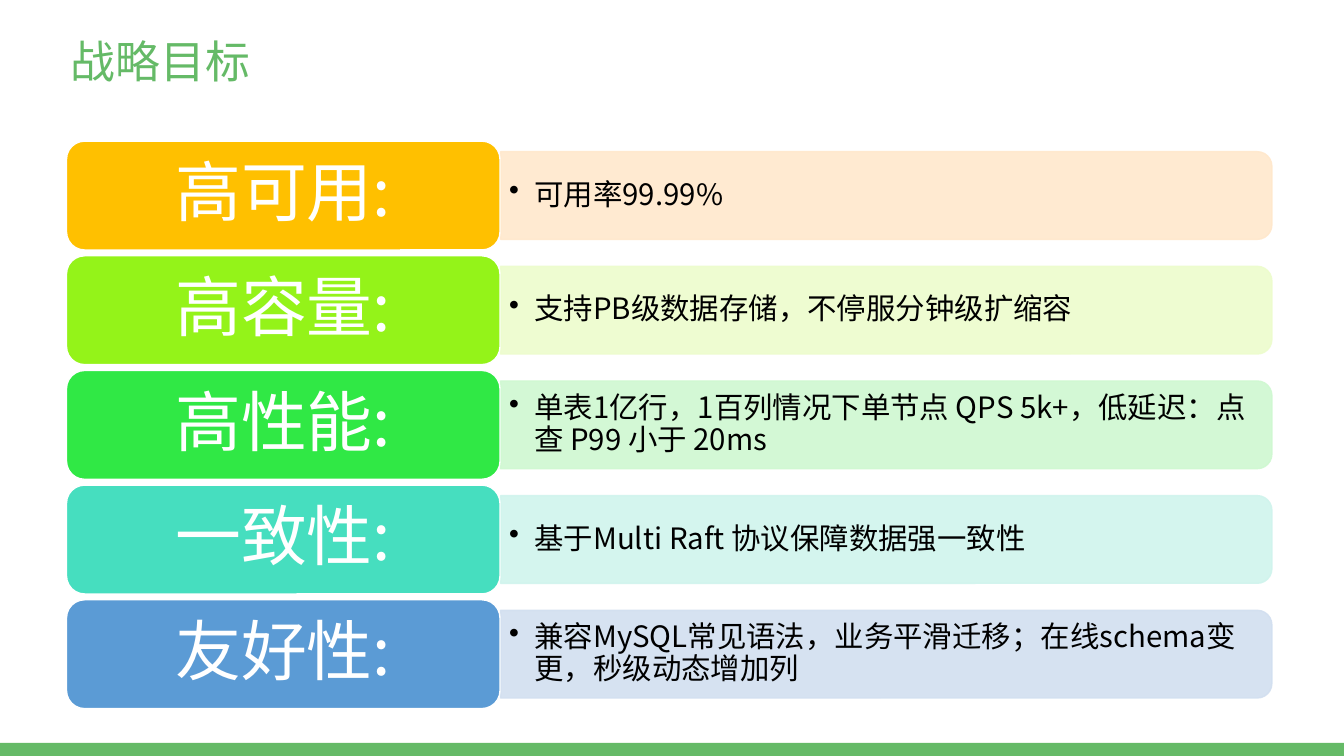
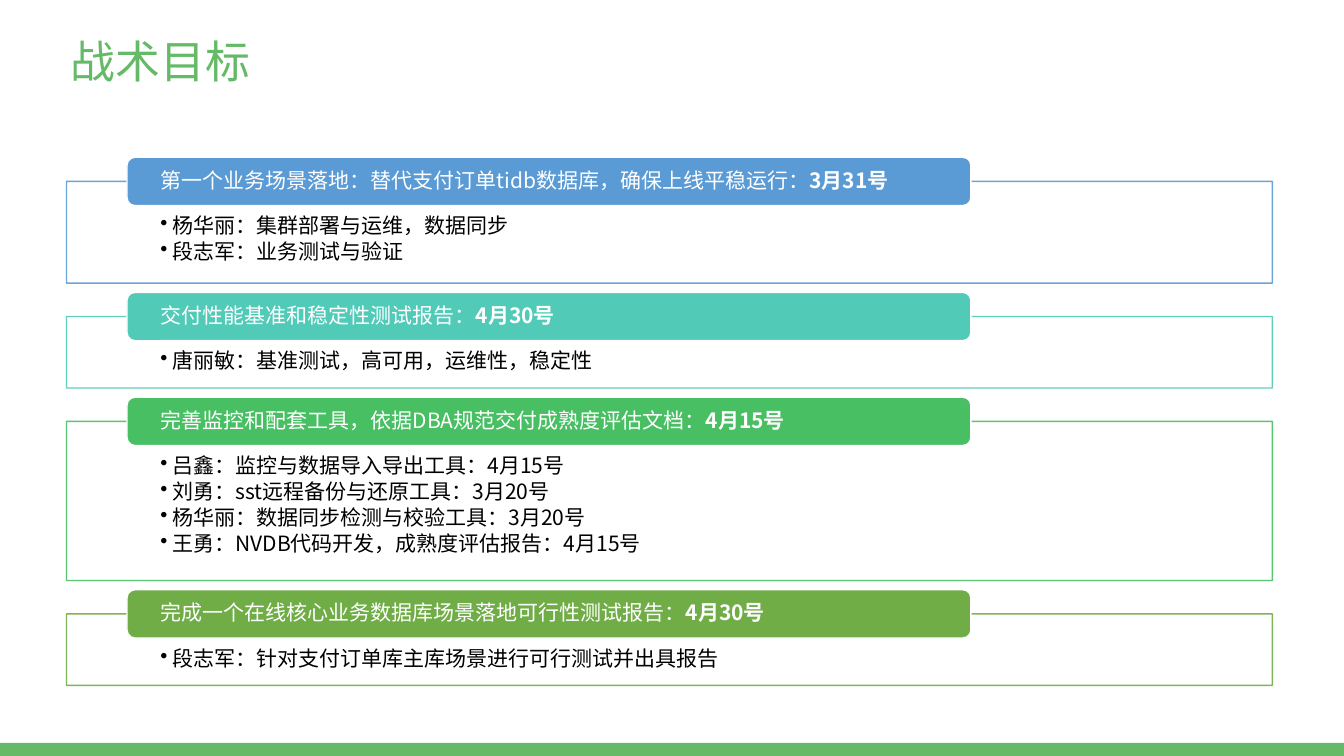
from dataclasses import dataclass

from lxml import etree
from pptx import Presentation
from pptx import util as u
from pptx.dml.color import RGBColor
from pptx.enum import shapes, text
from pptx.oxml.ns import qn

PX = 9144  # EMU in one px, 100 px to the inch
WIDTH, HEIGHT = 1333, 750
FONT = "Noto Sans CJK SC"
LINE_SPACING = 0.9
COLORS = {
    "brand": "65BA67",
    "white": "FFFFFF",
    "black": "000000",
    "amber": "FFC000",
    "amber_tint": "FFE8CC",
    "lime": "94F319",
    "lime_tint": "EDFCCD",
    "green": "30E845",
    "green_tint": "CFF8D1",
    "aqua": "46DEBF",
    "aqua_tint": "D0F4ED",
    "blue": "5B9BD5",
    "blue_tint": "D2DFF0",
    "teal": "52CAB8",
    "emerald": "49BF64",
    "olive": "70AD47",
}


@dataclass(frozen=True)
class Goal:
    label: str
    detail: str
    color: str


@dataclass(frozen=True)
class Milestone:
    title: str
    due: str
    color: str
    height: int
    tasks: tuple[str, ...]


@dataclass(frozen=True)
class Style:
    size: int
    color: str
    after: float = 0
    align: text.PP_ALIGN = text.PP_ALIGN.LEFT
    indent: int = 0


TITLE = Style(32, "brand")
GOAL_LABEL = Style(47, "white", after=16.5, align=text.PP_ALIGN.CENTER)
GOAL_DETAIL = Style(21, "black", after=3, indent=25)
MILESTONE_TITLE = Style(15, "white", after=5)
TASK = Style(15, "black", after=2.25, indent=12)

GOALS = (
    Goal("高可用:", "可用率99.99%", "amber"),
    Goal("高容量:", "支持PB级数据存储，不停服分钟级扩缩容", "lime"),
    Goal("高性能:", "单表1亿行，1百列情况下单节点 QPS 5k+，低延迟：点查 P99 小于 20ms",
         "green"),
    Goal("一致性:", "基于Multi Raft 协议保障数据强一致性", "aqua"),
    Goal("友好性:", "兼容MySQL常见语法，业务平滑迁移；在线schema变更，秒级动态增加列",
         "blue"),
)

MILESTONES = (
    Milestone("第一个业务场景落地：替代支付订单tidb数据库，确保上线平稳运行：", "3月31号",
              "blue", 101,
              ("杨华丽：集群部署与运维，数据同步", "段志军：业务测试与验证")),
    Milestone("交付性能基准和稳定性测试报告：", "4月30号", "teal", 71,
              ("唐丽敏：基准测试，高可用，运维性，稳定性",)),
    Milestone("完善监控和配套工具，依据DBA规范交付成熟度评估文档：", "4月15号",
              "emerald", 158,
              ("吕鑫：监控与数据导入导出工具：4月15号",
               "刘勇：sst远程备份与还原工具：3月20号",
               "杨华丽：数据同步检测与校验工具：3月20号",
               "王勇：NVDB代码开发，成熟度评估报告：4月15号")),
    Milestone("完成一个在线核心业务数据库场景落地可行性测试报告：", "4月30号", "olive", 71,
              ("段志军：针对支付订单库主库场景进行可行测试并出具报告",)),
)


def rgb(name: str) -> RGBColor:
    return RGBColor.from_string(COLORS[name])


def box(*lengths: float) -> list[int]:
    return [round(length * PX) for length in lengths]


def set_alpha(sp, percent: int) -> None:
    """Make the fill and line colours of a shape partly transparent."""
    for color in sp.element.spPr.iter(qn("a:srgbClr")):
        etree.SubElement(color, qn("a:alpha")).set("val", str(percent * 1000))


def add_box(s, kind, at: tuple, fill: str, line: str | None = None):
    sp = s.shapes.add_shape(kind, *box(*at))
    sp.shadow.inherit = False
    sp.fill.solid()
    sp.fill.fore_color.rgb = rgb(fill)
    if line:
        sp.line.color.rgb = rgb(line)
        sp.line.width = u.Pt(1)
    else:
        sp.line.fill.background()
    return sp


def set_frame(tf, insets: tuple, anchor=text.MSO_ANCHOR.MIDDLE) -> None:
    tf.word_wrap = True
    tf.vertical_anchor = anchor
    tf.margin_left, tf.margin_top, tf.margin_right, tf.margin_bottom = box(*insets)


def add_run(p, words: str, style: Style, bold: bool = False) -> None:
    r = p.add_run()
    r.text = words
    r.font.size = u.Pt(style.size)
    r.font.bold = bold
    r.font.name = FONT
    r.font.color.rgb = rgb(style.color)
    etree.SubElement(r.font._element, qn("a:ea")).set("typeface", FONT)


def write(tf, lines: tuple, style: Style, bold_tail: str = "") -> None:
    """Write one paragraph a line; bold_tail closes the last one."""
    for i, line in enumerate(lines):
        p = tf.paragraphs[0] if i == 0 else tf.add_paragraph()
        p.alignment = style.align
        p.line_spacing = LINE_SPACING
        p.space_before = u.Pt(0)
        p.space_after = u.Pt(style.after)
        if style.indent:
            pPr = p._p.get_or_add_pPr()
            pPr.set("marL", str(style.indent * PX))
            pPr.set("indent", str(-style.indent * PX))
            etree.SubElement(pPr, qn("a:buChar")).set("char", "•")
        add_run(p, line, style)
    if bold_tail:
        add_run(p, bold_tail, style, bold=True)


def add_slide(prs, layout, title: str):
    s = prs.slides.add_slide(layout)
    sp = s.shapes.title
    sp.left, sp.top, sp.width, sp.height = box(60, 20, 1150, 87)
    set_frame(sp.text_frame, (10, 5, 10, 5))
    write(sp.text_frame, (title,), TITLE)
    return s


def add_goal(s, goal: Goal, top: float, height: int) -> None:
    middle = top + height / 2
    thick, length, center = 87, 765, 879
    bar = add_box(s, shapes.MSO_SHAPE.ROUND_2_SAME_RECTANGLE,
                  (center - thick / 2, middle - length / 2, thick, length),
                  goal.color + "_tint", goal.color + "_tint")
    bar.rotation = 90
    set_alpha(bar, 90)

    detail = s.shapes.add_textbox(*box(496, middle - 39, 761, 78))
    set_frame(detail.text_frame, (9, 4, 9, 4))
    write(detail.text_frame, (goal.detail,), GOAL_DETAIL)

    card = add_box(s, shapes.MSO_SHAPE.ROUNDED_RECTANGLE,
                   (66, top, 430, height), goal.color, "white")
    set_frame(card.text_frame, (25, 15, 25, 15))
    write(card.text_frame, (goal.label,), GOAL_LABEL)


def add_milestone(s, milestone: Milestone, top: int) -> int:
    """Draw a panel with its header and return the panel's bottom."""
    panel_top = top + 24
    panel = add_box(s, shapes.MSO_SHAPE.RECTANGLE,
                    (66, panel_top, 1196, milestone.height), "white", milestone.color)
    set_alpha(panel, 90)
    set_frame(panel.text_frame, (93, 34, 93, 12), text.MSO_ANCHOR.TOP)
    write(panel.text_frame, milestone.tasks, TASK)

    header = add_box(s, shapes.MSO_SHAPE.ROUNDED_RECTANGLE,
                     (126, top, 837, 48), milestone.color, "white")
    set_frame(header.text_frame, (31, 2, 31, 2))
    write(header.text_frame, (milestone.title,), MILESTONE_TITLE, milestone.due)
    return panel_top + milestone.height


def main() -> None:
    prs = Presentation()
    prs.slide_width, prs.slide_height = box(WIDTH, HEIGHT)
    layout = prs.slide_layouts.get_by_name("Title Only")

    s = add_slide(prs, layout, "战略目标")
    band = add_box(s, shapes.MSO_SHAPE.RECTANGLE, (0, 737, WIDTH, 13), "brand")
    layout.shapes.element.append(band.element)  # shared by every slide
    first, last, height = 140, 595, 108
    pitch = (last - first) / (len(GOALS) - 1)
    for i, goal in enumerate(GOALS):
        add_goal(s, goal, first + i * pitch, height)

    s = add_slide(prs, layout, "战术目标")
    top, gap = 156, 9
    for milestone in MILESTONES:
        top = add_milestone(s, milestone, top) + gap

    prs.save("out.pptx")


if __name__ == "__main__":
    main()
